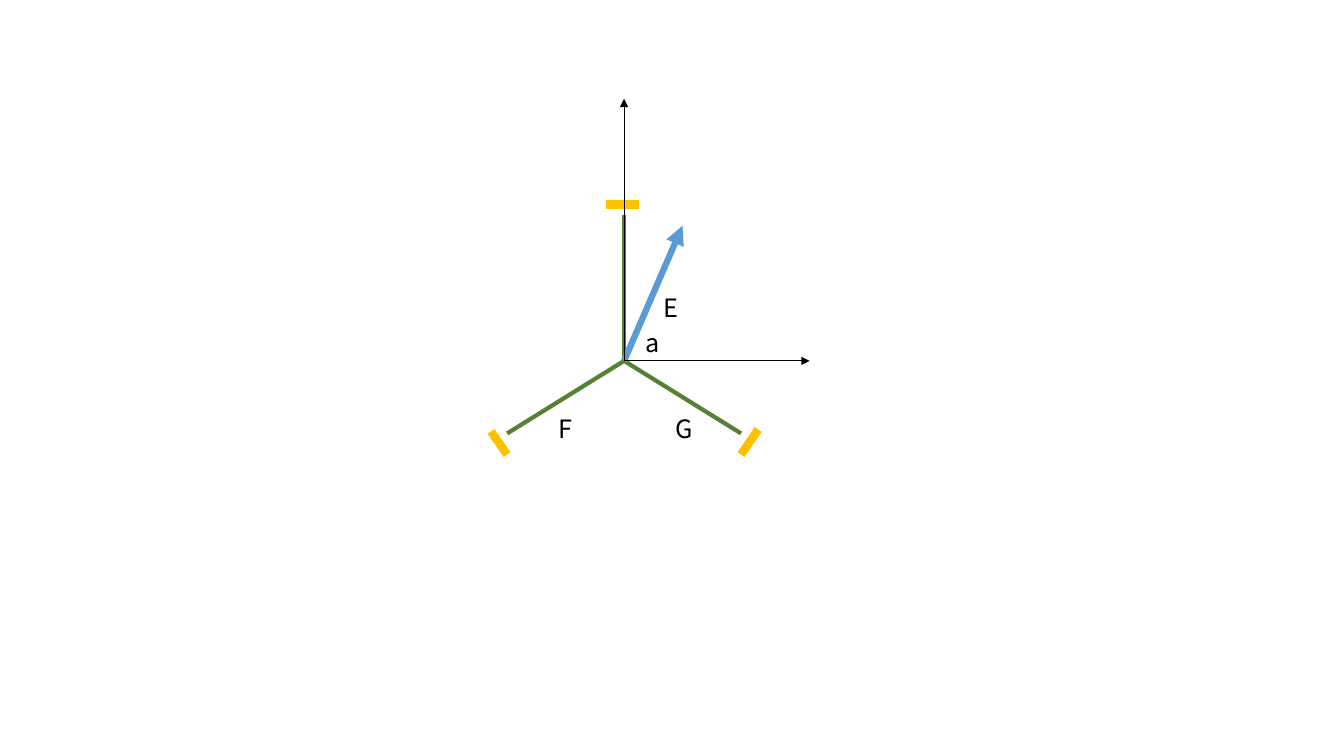
from pptx import Presentation
from pptx.dml.color import RGBColor
from pptx.enum.shapes import MSO_CONNECTOR
from pptx.enum.text import MSO_AUTO_SIZE
from pptx.oxml.ns import qn
from pptx.util import Inches, Pt
from lxml import etree

STRAIGHT = MSO_CONNECTOR.STRAIGHT
FIT_SHAPE = MSO_AUTO_SIZE.SHAPE_TO_FIT_TEXT
BLANK_LAYOUT = 6
FONT = "Noto Sans CJK SC"
GREEN = RGBColor(0x54, 0x82, 0x35)
AMBER = RGBColor(0xFF, 0xC0, 0x00)
BLUE = RGBColor(0x5B, 0x9B, 0xD5)
BLACK = RGBColor(0, 0, 0)

CENTER = (6.19, 3.58)
ARM_ENDS = [(6.19, 2.13), (5.03, 4.3), (7.35, 4.3)]
WHEELS = [
    ((6.01, 2.03), (6.34, 2.03)),
    ((7.52, 4.26), (7.35, 4.51)),
    ((5.03, 4.51), (4.87, 4.28)),
]
AXIS_ENDS = [(8.03, 3.58), (6.19, 0.98)]
HEADING_END = (6.77, 2.24)


def add_line(s, start, end, color, width, arrow=False):
    points = [Inches(v) for v in (*start, *end)]
    line = s.shapes.add_connector(STRAIGHT, *points)
    line.line.color.rgb = color
    line.line.width = Pt(width)
    if arrow:
        ln = line.line._get_or_add_ln()
        etree.SubElement(ln, qn("a:tailEnd"), type="triangle")
    etree.SubElement(line._element.spPr, qn("a:effectLst"))


def add_label(s, text, left, top, width, wrap=False):
    box = s.shapes.add_textbox(Inches(left), Inches(top), Inches(width), Inches(0.4))
    tf = box.text_frame
    tf.word_wrap = wrap
    tf.auto_size = FIT_SHAPE
    p = tf.paragraphs[0]
    p.text = text
    p.font.name = FONT
    p.font.size = Pt(18)
    p.font.color.rgb = BLACK


def main():
    prs = Presentation()
    prs.slide_width = Inches(13.33)
    prs.slide_height = Inches(7.5)
    s = prs.slides.add_slide(prs.slide_layouts[BLANK_LAYOUT])

    for end in ARM_ENDS:
        add_line(s, CENTER, end, GREEN, 3)
    for start, end in WHEELS:
        add_line(s, start, end, AMBER, 6)

    add_label(s, "E", 6.48, 2.85, 0.33)
    add_label(s, "G", 6.6, 4.05, 0.37)
    add_label(s, "F", 5.44, 4.05, 0.59, wrap=True)

    add_line(s, CENTER, HEADING_END, BLUE, 4.5, arrow=True)
    for end in AXIS_ENDS:
        add_line(s, CENTER, end, BLACK, 0.5, arrow=True)

    add_label(s, "a", 6.3, 3.2, 0.33)

    prs.save("out.pptx")


if __name__ == "__main__":
    main()
